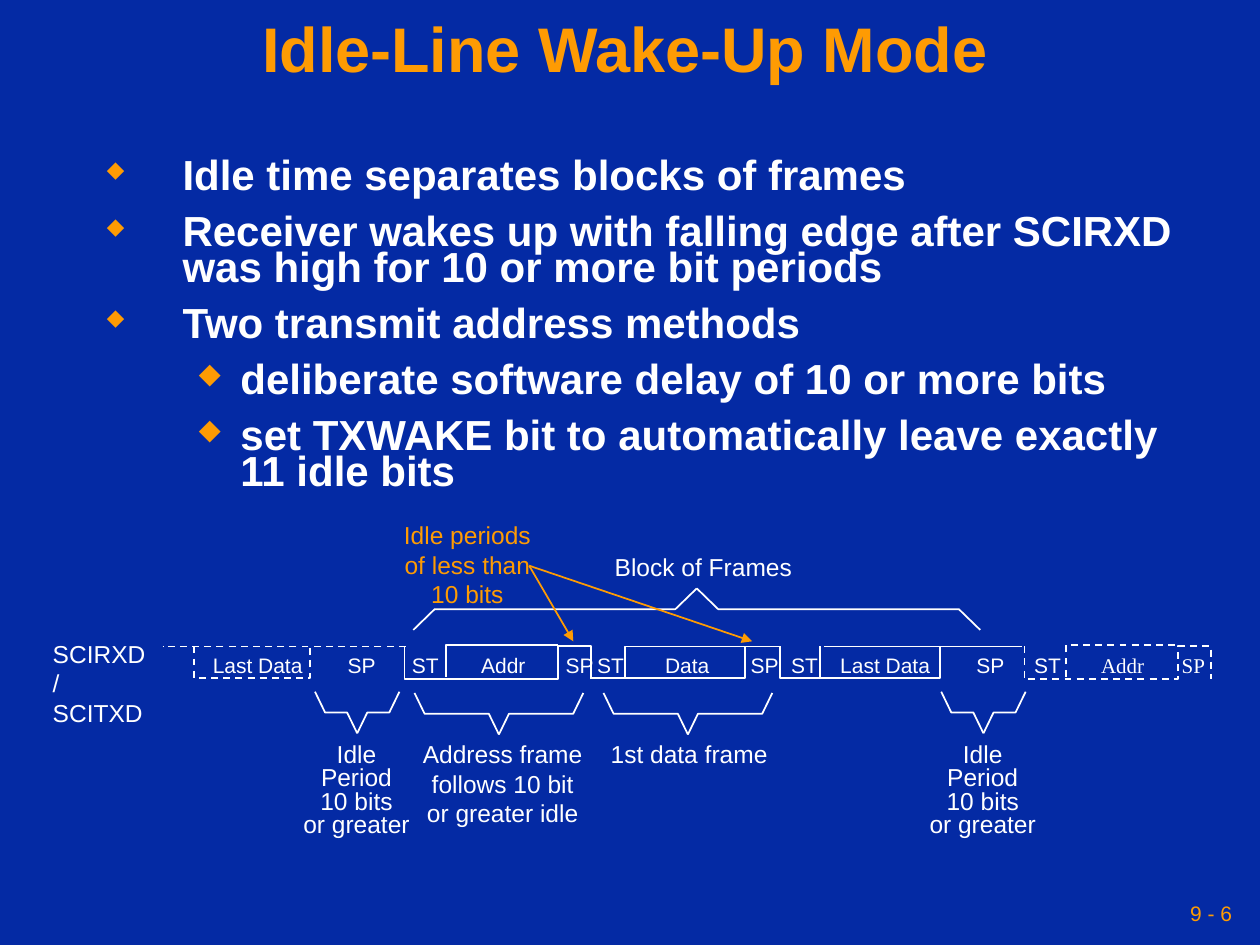
from pptx import Presentation
from pptx.dml.color import RGBColor
from pptx.enum.dml import MSO_LINE
from pptx.enum.shapes import MSO_CONNECTOR
from pptx.enum.text import MSO_ANCHOR, MSO_AUTO_SIZE, PP_ALIGN
from pptx.oxml.ns import qn
from pptx.util import Inches, Pt
from lxml.etree import SubElement

BLUE = RGBColor(0x04, 0x2A, 0xA4)
ORANGE = RGBColor(0xFE, 0x9B, 0x03)
WHITE = RGBColor(0xFF, 0xFF, 0xFF)


def apply(obj, values):
    for name, value in values.items():
        setattr(obj, name, value)


def place(sp, box):
    apply(sp, dict(zip(("left", "top", "width", "height"), map(Inches, box))))


def write(p, text, size, color=WHITE, font="Arial", bold=False):
    r = p.add_run()
    r.text = text
    apply(r.font, {"size": Pt(size), "name": font, "bold": bold})
    r.font.color.rgb = color


def add_text(s, box, lines, size=14, color=WHITE, font="Arial",
             align=PP_ALIGN.LEFT, spacing=1.0, wrap=False):
    sp = s.shapes.add_textbox(*map(Inches, box))
    tf = sp.text_frame
    apply(tf, {"word_wrap": wrap, "auto_size": MSO_AUTO_SIZE.SHAPE_TO_FIT_TEXT})
    for i, line in enumerate(lines):
        p = tf.paragraphs[0] if i == 0 else tf.add_paragraph()
        apply(p, {"alignment": align, "line_spacing": spacing})
        write(p, line, size, color, font)
    return sp


def style_line(sp, color=WHITE, dashed=False):
    sp.line.color.rgb = color
    sp.line.width = Pt(1)
    if dashed:
        sp.line.dash_style = MSO_LINE.DASH


def add_outline(shapes, points, dashed=False):
    points = [(Inches(x), Inches(y)) for x, y in points]
    builder = shapes.build_freeform(*points[0], scale=1.0)
    builder.add_line_segments(points[1:], close=False)
    sp = builder.convert_to_shape()
    sp.shadow.inherit = False
    sp.fill.background()
    style_line(sp, dashed=dashed)


def add_line(s, start, end, color=WHITE, dashed=False, arrow=False):
    c = s.shapes.add_connector(MSO_CONNECTOR.STRAIGHT, *map(Inches, start + end))
    style_line(c, color, dashed)
    if arrow:
        SubElement(c.line._get_or_add_ln(), qn("a:tailEnd"), type="triangle")
    SubElement(c._element.spPr, qn("a:effectLst"))


def add_brace(s, x, y, w, h, shoulder, up=False):
    group = s.shapes.add_group_shape()
    mid = x + w / 2
    base, tip = (y + h, y) if up else (y, y + h)
    for edge, step in ((x, shoulder), (x + w, -shoulder)):
        add_outline(group.shapes, [(edge, base), (edge + step, y + h / 2),
                                   (mid - step, y + h / 2), (mid, tip)])


def add_title(s, box):
    sp = s.shapes.title
    place(sp, box)
    tf = sp.text_frame
    apply(tf, {"vertical_anchor": MSO_ANCHOR.MIDDLE, "word_wrap": True,
               "auto_size": MSO_AUTO_SIZE.NONE})
    p = tf.paragraphs[0]
    apply(p, {"alignment": PP_ALIGN.CENTER, "line_spacing": 0.9})
    write(p, "Idle-Line Wake-Up Mode", 36, ORANGE, bold=True)


def add_bullets(s, box):
    tf = s.shapes.add_textbox(*map(Inches, box)).text_frame
    tf.word_wrap = True
    styles = [(0.6, 0.6, 54), (1.06, 0.33, 68)]
    items = [
        (0, "Idle time separates blocks of frames"),
        (0, "Receiver wakes up with falling edge after SCIRXD was high for 10 or more bit periods"),
        (0, "Two transmit address methods"),
        (1, "deliberate software delay of 10 or more bits"),
        (1, "set TXWAKE bit to automatically leave exactly 11 idle bits"),
    ]
    for i, (level, text) in enumerate(items):
        p = tf.paragraphs[0] if i == 0 else tf.add_paragraph()
        margin, hang, percent = styles[level]
        pPr = p._p.get_or_add_pPr()
        pPr.set("marL", str(Inches(margin)))
        pPr.set("indent", str(-Inches(hang)))
        SubElement(SubElement(pPr, qn("a:buClr")), qn("a:srgbClr"), val=str(ORANGE))
        SubElement(pPr, qn("a:buSzPct"), val=str(percent * 1000))
        SubElement(pPr, qn("a:buChar"), char="◆")
        apply(p, {"level": level, "line_spacing": 0.7,
                  "space_before": Pt(12 if i else 0)})
        write(p, text, 24, bold=True)


def add_signal(s, box):
    x, y, w, h = box
    low = y + h
    add_line(s, (3.22, y), (x, y), dashed=True)
    add_line(s, (6.51, y), (6.51, low))
    add_line(s, (6.54, y), (8.11, y))
    for left, right in ((1.54, 2.46), (6.19, 7.46)):
        add_outline(s.shapes, [(left, y), (left, low), (right, low), (right, y)],
                    dashed=left < 3)
    for left, dashed in ((3.21, False), (8.13, True)):
        bottom = low + 0.01
        add_outline(s.shapes, [(left, y), (left, bottom), (left + 1.22, bottom),
                               (left + 1.22, y), (left + 1.48, y),
                               (left + 1.48, bottom)], dashed)
        add_outline(s.shapes, [(left + 0.33, low - 0.01), (left + 0.33, y - 0.01),
                               (left + 1.22, y - 0.01)], dashed)
    add_outline(s.shapes, [(4.69, low - 0.02), (4.69, low), (4.96, low),
                           (4.96, y), (6.2, y)])
    add_outline(s.shapes, [(4.96, low), (5.91, low), (5.91, y)])

    labels = [
        (1.59, 0.91, "Last Data"), (2.66, 0.42, "SP"), (3.17, 0.41, "ST"),
        (3.72, 0.55, "Addr"), (4.39, 0.42, "SP"), (4.64, 0.41, "ST"),
        (5.18, 0.55, "Data"), (5.86, 0.42, "SP"), (6.18, 0.41, "ST"),
        (6.57, 0.91, "Last Data"), (7.65, 0.42, "SP"), (8.11, 0.41, "ST"),
        (8.64, 0.54, "Addr"), (9.28, 0.39, "SP"),
    ]
    for left, width, text in labels:
        font = "Times New Roman" if left > 8.5 else "Arial"
        add_text(s, (left, y, width, 0.3), [text], 12, font=font)
    add_text(s, (0.32, 5.02, 0.95, 0.56), ["SCIRXD/", "SCITXD"], wrap=True)


def add_frame_notes(s, y):
    center = PP_ALIGN.CENTER
    for left in (2.5, 7.47):
        add_brace(s, left, y, 0.67, 0.33, 0.08)
        add_text(s, (left - 0.22, y + 0.37, 1.1, 0.84),
                 ["Idle", "Period", "10 bits", "or greater"], align=center, spacing=0.8)
    frames = [
        (3.29, 3.24, 1.5, 0.8, ["Address frame", "follows 10 bit", "or greater idle"]),
        (4.79, 4.72, 1.5, 0.33, ["1st data frame"]),
    ]
    for brace_left, left, width, height, lines in frames:
        add_brace(s, brace_left, y + 0.01, 1.34, 0.33, 0.08)
        add_text(s, (left, y + 0.33, width, height), lines, align=center)


def add_block_notes(s, box):
    x, y, w, h = box
    add_brace(s, x, y, w, h, 0.17, up=True)
    add_text(s, (4.78, y - 0.34, 1.65, 0.33), ["Block of Frames"])
    add_text(s, (3.08, y - 0.59, 1.26, 0.8),
             ["Idle periods", "of less than", "10 bits"], color=ORANGE,
             align=PP_ALIGN.CENTER)
    for tip in (4.55, 5.97):
        add_line(s, (4.2, 4.49), (tip, 5.09), ORANGE, arrow=True)


def add_page_number(s, box):
    sp = add_text(s, box, ["9 - 6"], 12, ORANGE, align=PP_ALIGN.RIGHT)
    apply(sp.text_frame, {"vertical_anchor": MSO_ANCHOR.MIDDLE,
                          "auto_size": MSO_AUTO_SIZE.NONE,
                          "margin_left": Inches(0.05), "margin_right": Inches(0.05)})


def main():
    prs = Presentation()
    apply(prs, {"slide_width": Inches(10), "slide_height": Inches(7.5)})
    s = prs.slides.add_slide(prs.slide_layouts[5])
    s.background.fill.solid()
    s.background.fill.fore_color.rgb = BLUE
    add_page_number(s, (6.83, 7.08, 3, 0.33))
    add_title(s, (0, 0, 9.92, 0.83))
    add_bullets(s, (0.75, 1.24, 8.92, 2.72))
    add_signal(s, (1.29, 5.13, 8.32, 0.25))
    add_frame_notes(s, 5.49)
    add_block_notes(s, (3.28, 4.67, 4.5, 0.33))
    prs.save("out.pptx")


if __name__ == "__main__":
    main()
